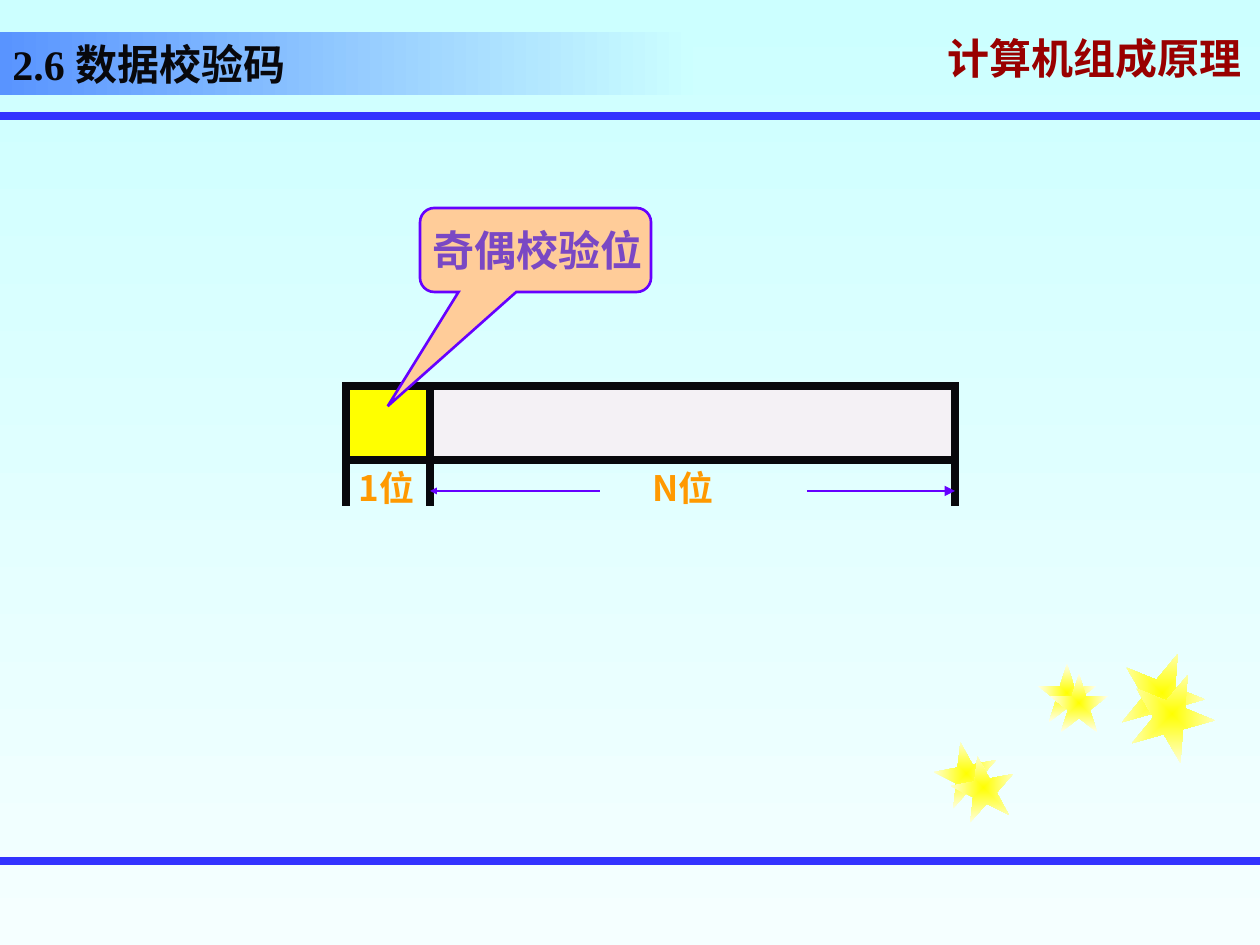
from lxml import etree
from pptx import Presentation
from pptx import util as u
from pptx.dml.color import RGBColor
from pptx.enum import shapes, text
from pptx.oxml import parse_xml
from pptx.oxml.ns import nsdecls, qn

PX_PER_INCH = 126
CJK = "Noto Sans CJK SC"
LATIN = "Times New Roman"
INK, BLUE, VIOLET, ORANGE = "08080C", "3333FF", "6600FF", "FF9900"
STAR = [(0, 38), (38, 38), (50, 0), (62, 38), (100, 38),
        (69, 62), (81, 100), (50, 76), (19, 100), (31, 62)]


def px(length):
    return u.Emu(round(length * 914400 / PX_PER_INCH))


def rgb(value):
    return RGBColor.from_string(value)


def paint_gradient(fill, start, end, angle=0):
    fill.gradient()
    fill.gradient_angle = angle
    for stop, color in zip(fill.gradient_stops, (start, end)):
        stop.color.rgb = rgb(color)


def write(frame, *parts, size=24, color=INK, anchor=text.MSO_ANCHOR.TOP,
          spacing=None, shadow=False):
    """Fill a frame with one bold line made of (wording, font) parts."""
    frame.word_wrap = True
    frame.vertical_anchor = anchor
    line = frame.paragraphs[0]
    line.alignment = text.PP_ALIGN.LEFT
    line.line_spacing = spacing
    for wording, font in parts:
        run = line.add_run()
        run.text = wording
        run.font.size = u.Pt(size)
        run.font.bold = True
        run.font.name = font
        run.font.color.rgb = rgb(color)
        props = run._r.get_or_add_rPr()
        latin = props.find(qn("a:latin"))
        east_asian = etree.Element(qn("a:ea"), typeface=CJK)
        latin.addnext(east_asian)
        if shadow:
            latin.addprevious(parse_xml(
                f'<a:effectLst {nsdecls("a")}><a:outerShdw dist="17961" dir="2700000">'
                '<a:srgbClr val="808080"/></a:outerShdw></a:effectLst>'))


class Slide:
    def __init__(self, deck):
        self.page = deck.slides.add_slide(deck.slide_layouts[6])
        self.shapes = self.page.shapes
        paint_gradient(self.page.background.fill, "CCFFFF", "F5FFFF", angle=270)

    def outline(self, line, color, width):
        line.color.rgb = rgb(color)
        line.width = u.Pt(width)
        etree.SubElement(line._get_or_add_ln(), qn("a:miter"), lim="800000")

    def box(self, x, y, w, h, fill=None, line=None, width=4.5,
            kind=shapes.MSO_SHAPE.RECTANGLE):
        shape = self.shapes.add_shape(kind, px(x), px(y), px(w), px(h))
        shape.shadow.inherit = False
        if fill:
            shape.fill.solid()
            shape.fill.fore_color.rgb = rgb(fill)
        if line:
            self.outline(shape.line, line, width)
        else:
            shape.line.fill.background()
        return shape

    def line(self, x1, y1, x2, y2, color=INK, width=4.5, cap="flat", arrow=None):
        """Draw a straight line; arrow is the size of the head at its end."""
        connector = self.shapes.add_connector(
            shapes.MSO_CONNECTOR.STRAIGHT, px(x1), px(y1), px(x2), px(y2))
        self.outline(connector.line, color, width)
        stroke = connector.line._get_or_add_ln()
        stroke.set("cap", cap)
        if arrow:
            etree.SubElement(stroke, qn("a:tailEnd"), type="triangle", w=arrow, len=arrow)
        etree.SubElement(connector._element.spPr, qn("a:effectLst"))

    def label(self, x, y, w, h, *parts, **style):
        write(self.shapes.add_textbox(px(x), px(y), px(w), px(h)).text_frame,
              *parts, **style)

    def star(self, x, y, size, turn):
        builder = self.shapes.build_freeform(*STAR[0], scale=px(size) / 100)
        builder.add_line_segments(STAR[1:], close=True)
        star = builder.convert_to_shape(px(x), px(y))
        star.shadow.inherit = False
        star.rotation = turn
        star.line.fill.background()
        paint_gradient(star.fill, "FFFF00", "FFFFE9")
        linear = star._element.spPr.find(f".//{qn('a:lin')}")
        linear.getparent().replace(linear, parse_xml(
            f'<a:path {nsdecls("a")} path="rect">'
            '<a:fillToRect l="50000" t="50000" r="50000" b="50000"/></a:path>'))


def main():
    deck = Presentation()
    deck.slide_width, deck.slide_height = px(1260), px(945)
    slide = Slide(deck)

    slide.label(935, 32, 325, 63, ("计算机组成原理", CJK), color="990000",
                anchor=text.MSO_ANCHOR.MIDDLE, spacing=0.7, shadow=True)
    for rule_y in (116, 861):
        slide.line(0, rule_y, 1260, rule_y, BLUE)

    for x, y, size, turn, dx, dy in ((935, 742, 63, 349, 17, 14),
                                     (1038, 664, 58, 0, 12, 10),
                                     (1120, 651, 84, 22, 10, 21)):
        slide.star(x, y, size, turn)
        slide.star(x + dx, y + dy, size, turn)

    left, divider, right = 346, 430, 955
    top, bottom, tick_end, arrow_y = 386, 460, 502, 491
    slide.box(left, top, right - left, bottom - top, "F4F1F5", INK)
    slide.line(divider, top, divider, bottom)
    for x, start in ((divider, 428), (right, 438), (left, 438)):
        slide.line(x, start, x, tick_end, cap="sq")
    slide.line(807, arrow_y, right, arrow_y, VIOLET, 1.5, arrow="med")
    slide.line(600, arrow_y, divider, arrow_y, VIOLET, 1.5, arrow="sm")
    for x, count in ((640, "N位"), (left, "1位")):
        slide.label(x, bottom, 147, 55, (count, CJK), size=20, color=ORANGE)

    heading = slide.box(0, 32, 693, 63)
    paint_gradient(heading.fill, "5994FF", "CCFFFF")
    write(heading.text_frame, ("2.6 ", LATIN), ("数据校验码", CJK),
          anchor=text.MSO_ANCHOR.BOTTOM)

    slide.box(left, top, divider - left, bottom - top, "FFFF00", INK)
    callout = slide.box(420, 208, 231, 84, "FFCC99", VIOLET, 1.5,
                        shapes.MSO_SHAPE.ROUNDED_RECTANGULAR_CALLOUT)
    for index, value in enumerate((-0.64, 1.86, 0.17)):
        callout.adjustments[index] = value
    slide.label(420, 218, 273, 63, ("奇偶校验位", LATIN), color="7A48C4")

    deck.save("out.pptx")


if __name__ == "__main__":
    main()
